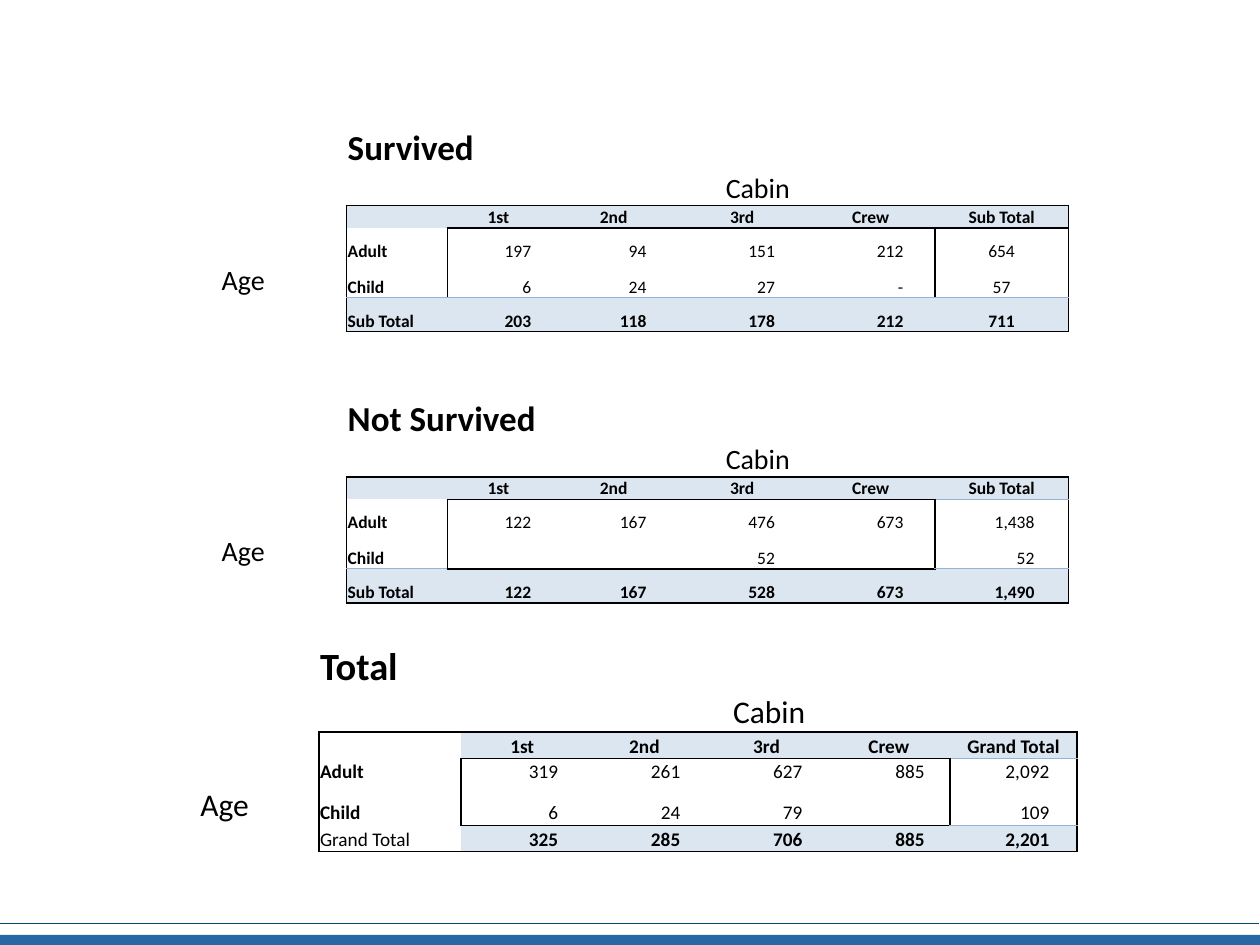
import pptx
import pptx.util
import pptx.dml.color
import pptx.enum.shapes
import pptx.enum.text
import lxml.etree
from pptx.util import Inches, Pt

BLACK, SOFT_BLUE, PALE = "000000", "95B3D7", "DCE6F1"
CABINS = ["1st", "2nd", "3rd", "Crew"]
MIDDLE = pptx.enum.text.PP_ALIGN.CENTER
RIGHT = pptx.enum.text.PP_ALIGN.RIGHT
LEFT = pptx.enum.text.PP_ALIGN.LEFT
NO_STYLE = "{2D5ABB26-0587-4C30-8999-92F81FD0307C}"

SURVIVED = {
    "title": "Survived", "title_span": 2, "sum": "Sub Total",
    "Adult": ["197", "94", "151", "212", "654"],
    "Child": ["6", "24", "27", "-", "57"],
    "totals": ["203", "118", "178", "212", "711"],
    "first_filled": 1, "sum_bold": True, "centre_sums": True,
    "header_edge": BLACK, "body_edge": SOFT_BLUE, "label_edge": SOFT_BLUE,
}
NOT_SURVIVED = {
    "title": "Not Survived", "title_span": 3, "sum": "Sub Total",
    "Adult": ["122", "167", "476", "673", "1,438"],
    "Child": ["", "", "52", "", "52"],
    "totals": ["122", "167", "528", "673", "1,490"],
    "first_filled": 1, "sum_bold": True, "centre_sums": False,
    "header_edge": SOFT_BLUE, "body_edge": BLACK, "label_edge": SOFT_BLUE,
}
TOTAL = {
    "title": "Total", "title_span": 1, "sum": "Grand Total",
    "Adult": ["319", "261", "627", "885", "2,092"],
    "Child": ["6", "24", "79", "", "109"],
    "totals": ["325", "285", "706", "885", "2,201"],
    "first_filled": 2, "sum_bold": False, "centre_sums": False,
    "header_edge": SOFT_BLUE, "body_edge": BLACK, "label_edge": None,
}
BLOCK_ROWS = [0.35, 0.28, 0.17, 0.27, 0.27, 0.27]
TABLES = [
    {"left": 1.75, "top": 1, "columns": [1, 0.8, 0.81, 1.02, 1.02, 1.02, 1.06],
     "rows": BLOCK_ROWS + [0.17, 0.18, 0.17] + BLOCK_ROWS,
     "blocks": [(0, SURVIVED), (9, NOT_SURVIVED)],
     "title_size": 20, "axis_size": 16, "text_size": 10, "number_width": 0.52},
    {"left": 1.58, "top": 5.08, "columns": [0.95, 1.13, 0.97, 0.97, 0.97, 0.97, 1.01],
     "rows": [0.4, 0.33, 0.21, 0.2, 0.33, 0.21],
     "blocks": [(0, TOTAL)],
     "title_size": 22, "axis_size": 18, "text_size": 11, "number_width": 0.57},
]


def color(value):
    """Turn a hex string into a colour."""
    return pptx.dml.color.RGBColor.from_string(value)


def write(cell, text, size, bold=False, align=LEFT, indent=0.01):
    """Put one run into a cell; indent is the right inset in inches."""
    if not text:
        return
    cell.margin_right = Inches(indent)
    paragraph = cell.text_frame.paragraphs[0]
    paragraph.alignment = align
    run = paragraph.add_run()
    run.text = text
    run.font.name = "Calibri"
    run.font.size = Pt(size)
    run.font.bold = bold
    run.font.color.rgb = color(BLACK)


def draw_borders(cell, sides):
    """Set the four borders of a cell; a missing side has no line."""
    properties = cell._tc.get_or_add_tcPr()
    for index, side in enumerate("LRTB"):
        edge = sides.get(side)
        width = Pt(0.5 if edge == SOFT_BLUE else 1)
        line = lxml.etree.Element(pptx.oxml.ns.qn("a:ln" + side), w=str(int(width)))
        fill = lxml.etree.SubElement(line, pptx.oxml.ns.qn("a:solidFill" if edge else "a:noFill"))
        if edge:
            lxml.etree.SubElement(fill, pptx.oxml.ns.qn("a:srgbClr"), val=edge)
        properties.insert(index, line)


def add_edge(edges, rows, columns, side, edge):
    """Record a border on cells and on the neighbours that share it."""
    opposite, down, across = {"L": ("R", 0, -1), "R": ("L", 0, 1),
                              "T": ("B", -1, 0), "B": ("T", 1, 0)}[side]
    for row in rows:
        for column in columns:
            edges.setdefault((row, column), {})[side] = edge
            edges.setdefault((row + down, column + across), {})[opposite] = edge


def block_edges(edges, header, block):
    """Record the frame and the inner lines of one block."""
    child, total = header + 2, header + 3
    frame, body = range(header, total + 1), range(header + 1, total)
    add_edge(edges, [header], range(1, 7), "T", BLACK)
    add_edge(edges, [total], range(1, 7), "B", BLACK)
    add_edge(edges, frame, [1], "L", BLACK)
    add_edge(edges, frame, [6], "R", BLACK)
    add_edge(edges, [header], range(2, 6), "B", BLACK)
    add_edge(edges, [header], [6], "B", block["header_edge"])
    add_edge(edges, body, [2], "L", BLACK)
    add_edge(edges, body, [5], "R", BLACK)
    add_edge(edges, [child], range(2, 6), "B", block["body_edge"])
    add_edge(edges, [child], [1], "B", block["label_edge"])
    add_edge(edges, [child], [6], "B", SOFT_BLUE)


def fill_block(table, layout, start, block):
    """Write the title, axis names, labels and numbers of one block."""
    size, axis_size = layout["text_size"], layout["axis_size"]
    header = start + 2
    if block["title_span"] > 1:
        table.cell(start, 1).merge(table.cell(start, block["title_span"]))
    write(table.cell(start, 1), block["title"], layout["title_size"], True)
    table.cell(start + 1, 2).merge(table.cell(start + 1, 6))
    write(table.cell(start + 1, 2), "Cabin", axis_size, align=MIDDLE)
    write(table.cell(header + 2, 0), "Age", axis_size)
    for column, name in enumerate(CABINS + [block["sum"]], 2):
        write(table.cell(header, column), name, size, True, MIDDLE)
    labels = [("Adult", "Adult"), ("Child", "Child"), (block["sum"], "totals")]
    for row, (label, key) in enumerate(labels, header + 1):
        is_total = key == "totals"
        write(table.cell(row, 1), label, size, block["sum_bold"] or not is_total)
        for column, number in enumerate(block[key], 2):
            if column == 6 and block["centre_sums"]:
                write(table.cell(row, column), number, size, is_total, MIDDLE)
            else:
                indent = (layout["columns"][column] - layout["number_width"]) / 2
                write(table.cell(row, column), number, size, is_total, RIGHT, indent)
    for row in (header, header + 3):
        for column in range(block["first_filled"], 7):
            # The Grand Total label cell stays plain like the corner above it
            cell = table.cell(row, column)
            cell.fill.solid()
            cell.fill.fore_color.rgb = color(PALE)


def add_count_table(slide, layout):
    """Add one table of passenger counts."""
    rows, columns = layout["rows"], layout["columns"]
    frame = slide.shapes.add_table(
        len(rows), len(columns), Inches(layout["left"]), Inches(layout["top"]),
        Inches(sum(columns)), Inches(sum(rows)))
    table = frame.table
    table.first_row = table.horz_banding = False
    table._tbl.tblPr.find(pptx.oxml.ns.qn("a:tableStyleId")).text = NO_STYLE
    for row, height in zip(table.rows, rows):
        row.height = Inches(height)
    for column, width in zip(table.columns, columns):
        column.width = Inches(width)
    for cell in table.iter_cells():
        cell.fill.background()
        cell.vertical_anchor = pptx.enum.text.MSO_ANCHOR.BOTTOM
        cell.margin_left = cell.margin_right = cell.margin_top = Inches(0.01)
        cell.margin_bottom = 0
    edges = {}
    for start, block in layout["blocks"]:
        fill_block(table, layout, start, block)
        block_edges(edges, start + 2, block)
    for row in range(len(rows)):
        for column in range(len(columns)):
            cell = table.cell(row, column)
            draw_borders(cell, edges.get((row, column), {}))
            paragraph = cell.text_frame.paragraphs[0]
            if not paragraph.runs:
                lxml.etree.SubElement(paragraph._p, pptx.oxml.ns.qn("a:endParaRPr"), sz="800")


def add_footer(slide):
    """Add the thin line and the blue band at the bottom."""
    line = slide.shapes.add_connector(
        pptx.enum.shapes.MSO_CONNECTOR.STRAIGHT,
        Inches(-0.01), Inches(7.33), Inches(9.99), Inches(7.33))
    line.line.color.rgb = color("004D74")
    line.line.width = Pt(0.5)
    lxml.etree.SubElement(line._element.spPr, pptx.oxml.ns.qn("a:effectLst"))
    band = slide.shapes.add_shape(
        pptx.enum.shapes.MSO_SHAPE.RECTANGLE,
        Inches(-0.01), Inches(7.42), Inches(10.01), Inches(0.08))
    band.shadow.inherit = False
    band.fill.solid()
    band.fill.fore_color.rgb = color("2767A5")
    band.line.fill.background()


presentation = pptx.Presentation()
presentation.slide_width, presentation.slide_height = Inches(10), Inches(7.5)
slide = presentation.slides.add_slide(presentation.slide_layouts[6])
add_footer(slide)
for layout in TABLES:
    add_count_table(slide, layout)
presentation.save("out.pptx")
